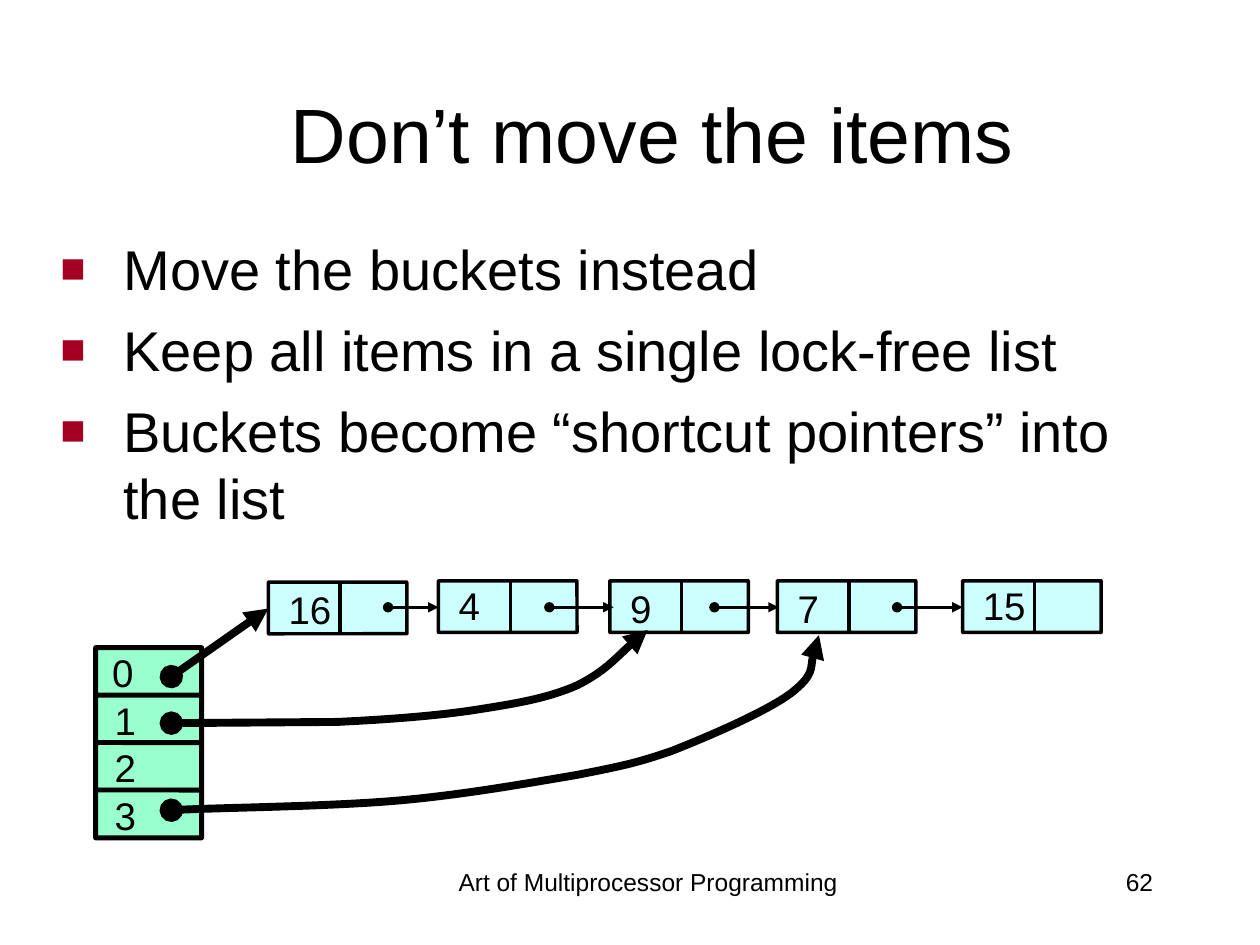
from dataclasses import dataclass

from lxml.etree import SubElement
from pptx import Presentation
from pptx.dml.color import RGBColor
from pptx.enum.shapes import MSO_CONNECTOR, MSO_SHAPE
from pptx.enum.text import MSO_ANCHOR, MSO_AUTO_SIZE, PP_ALIGN
from pptx.oxml.ns import qn
from pptx.util import Inches, Pt


@dataclass(frozen=True)
class Theme:
    font: str = "Arial"
    ink: str = "000000"
    bullet: str = "A50021"
    node: str = "CCFFFF"
    bucket: str = "99FFCC"
    title_size: int = 44
    body_size: int = 32
    label_size: int = 22
    footer_size: int = 14
    thin: float = 1.98
    medium: float = 2.83
    thick: float = 4.5


def add_bullet(paragraph, color):
    properties = paragraph._p.get_or_add_pPr()
    properties.set("marL", str(Inches(0.5)))
    properties.set("indent", str(Inches(-0.5)))
    bullet_color = SubElement(properties, qn("a:buClr"))
    SubElement(bullet_color, qn("a:srgbClr"), val=color)
    SubElement(properties, qn("a:buSzPct"), val="75000")
    SubElement(properties, qn("a:buFont"), typeface="Arial")
    SubElement(properties, qn("a:buChar"), char="■")


def write_text(shape, text, *, theme, size, align=PP_ALIGN.LEFT, anchor=MSO_ANCHOR.TOP,
               insets=(0.1, 0.05), wrap=True, line_spacing=None, space_before=0, bullet=None):
    frame = shape.text_frame
    frame.word_wrap = wrap
    frame.auto_size = MSO_AUTO_SIZE.NONE if wrap else MSO_AUTO_SIZE.SHAPE_TO_FIT_TEXT
    frame.vertical_anchor = anchor
    frame.margin_left = frame.margin_right = Inches(insets[0])
    frame.margin_top = frame.margin_bottom = Inches(insets[1])
    for index, line in enumerate(text.split("\n")):
        paragraph = frame.add_paragraph() if index else frame.paragraphs[0]
        if bullet:
            add_bullet(paragraph, bullet)
        paragraph.alignment = align
        paragraph.space_before = Pt(space_before if index else 0)
        if line_spacing:
            paragraph.line_spacing = line_spacing
        run = paragraph.add_run()
        run.text = line
        run.font.name = theme.font
        run.font.size = Pt(size)
        run.font.color.rgb = RGBColor.from_string(theme.ink)


class SlideBuilder:
    def __init__(self, slide, theme):
        self.slide = slide
        self.theme = theme

    def placeholder(self, shape, box, text, size, **text_format):
        shape.left, shape.top, shape.width, shape.height = map(Inches, box)
        write_text(shape, text, theme=self.theme, size=size, **text_format)

    def text(self, box, text, size, **text_format):
        shape = self.slide.shapes.add_textbox(*map(Inches, box))
        write_text(shape, text, theme=self.theme, size=size, **text_format)

    def box(self, box, fill, width):
        shape = self.slide.shapes.add_shape(MSO_SHAPE.ROUNDED_RECTANGLE, *map(Inches, box))
        shape.adjustments[0] = 0.004
        shape.shadow.inherit = False
        shape.fill.solid()
        shape.fill.fore_color.rgb = RGBColor.from_string(fill)
        self.stroke(shape, width)

    def stroke(self, shape, width, arrow=False):
        shape.line.color.rgb = RGBColor.from_string(self.theme.ink)
        shape.line.width = Pt(width)
        if arrow:
            line = shape.line._get_or_add_ln()
            SubElement(line, qn("a:headEnd"), type="oval")
            SubElement(line, qn("a:tailEnd"), type="triangle")

    def line(self, start, end, width, arrow=False):
        connector = self.slide.shapes.add_connector(
            MSO_CONNECTOR.STRAIGHT, *map(Inches, (*start, *end)))
        self.stroke(connector, width, arrow)
        SubElement(connector._element.spPr, qn("a:effectLst"))

    def curve(self, start, segments):
        builder = self.slide.shapes.build_freeform(*map(Inches, start))
        builder.add_line_segments([tuple(map(Inches, segment[-1])) for segment in segments],
                                  close=False)
        shape = builder.convert_to_shape()
        straight_parts = list(shape._element.iter(qn("a:lnTo")))
        for part, segment in zip(straight_parts, segments):
            if len(segment) == 3:
                bezier = part.makeelement(qn("a:cubicBezTo"))
                for x, y in segment:
                    SubElement(bezier, qn("a:pt"), x=str(Inches(x) - shape.left),
                               y=str(Inches(y) - shape.top))
                part.getparent().replace(part, bezier)
        shape.shadow.inherit = False
        shape.fill.background()
        self.stroke(shape, self.theme.thick, arrow=True)

    def node(self, label, left, top, text_top, text_width):
        self.box((left, top, 1.1, 0.41), self.theme.node, self.theme.thin)
        self.line((left + 0.57, top + 0.01), (left + 0.57, top + 0.41), self.theme.thin)
        self.text((left + 0.07, text_top, text_width, 0.46), label, self.theme.label_size,
                  insets=(0.09, 0.05), wrap=False)

    def bucket(self, label, top, text_left):
        self.box((0.76, top, 0.84, 0.38), self.theme.bucket, self.theme.medium)
        self.text((text_left, top - 0.04, 0.17, 0.42), label, self.theme.label_size,
                  insets=(0, 0), wrap=False, line_spacing=1.15)


def main():
    presentation = Presentation()
    presentation.slide_width, presentation.slide_height = Inches(10), Inches(7.5)
    slide = presentation.slides.add_slide(presentation.slide_layouts[1])
    theme = Theme()
    builder = SlideBuilder(slide, theme)

    builder.placeholder(slide.shapes.title, (0.91, 0.45, 8.54, 1.21), "Don’t move the items",
                        theme.title_size, align=PP_ALIGN.CENTER, anchor=MSO_ANCHOR.MIDDLE)
    points = ("Move the buckets instead", "Keep all items in a single lock-free list",
              "Buckets become “shortcut pointers” into the list")
    builder.placeholder(slide.placeholders[1], (0.38, 1.81, 9.15, 2.49), "\n".join(points),
                        theme.body_size, space_before=8, bullet=theme.bullet)
    builder.text((3.42, 6.83, 3.45, 0.5), "Art of Multiprocessor Programming",
                 theme.footer_size, align=PP_ALIGN.CENTER)
    builder.text((7.17, 6.83, 2.08, 0.5), "62", theme.footer_size, align=PP_ALIGN.RIGHT)

    nodes = (("16", 2.13, 4.62, 4.6, 0.52), ("4", 3.48, 4.61, 4.57, 0.35),
             ("9", 4.84, 4.61, 4.59, 0.35), ("7", 6.17, 4.61, 4.59, 0.35),
             ("15", 7.64, 4.61, 4.57, 0.52))
    for node in nodes:
        builder.node(*node)
    for start, end in ((3.08, 3.48), (4.36, 4.87), (5.67, 6.18), (7.12, 7.64)):
        builder.line((start, 4.82), (end, 4.82), theme.thin, arrow=True)

    bucket_pitch = 1.13 / 3
    for index, text_left in enumerate((0.89, 0.91, 0.91, 0.91)):
        builder.bucket(str(index), 5.14 + index * bucket_pitch, text_left)
    builder.curve((1.36, 5.74), (
        ((2.68, 5.73),),
        ((3.09, 5.71), (3.49, 5.68), (3.8, 5.63)),
        ((4.12, 5.58), (4.35, 5.54), (4.58, 5.44)),
        ((4.8, 5.33), (5.02, 5.09), (5.14, 5)),
    ))
    builder.curve((1.36, 6.43), (
        ((1.67, 6.41), (2.66, 6.4), (3.2, 6.35)),
        ((3.73, 6.3), (4.22, 6.21), (4.58, 6.15)),
        ((4.93, 6.08), (5.04, 6.06), (5.33, 5.96)),
        ((5.61, 5.85), (6.08, 5.65), (6.28, 5.5)),
        ((6.47, 5.35), (6.45, 5.13), (6.5, 5.04)),
    ))
    builder.line((1.36, 5.37), (2.13, 4.83), theme.thick, arrow=True)
    presentation.save("out.pptx")


if __name__ == "__main__":
    main()
